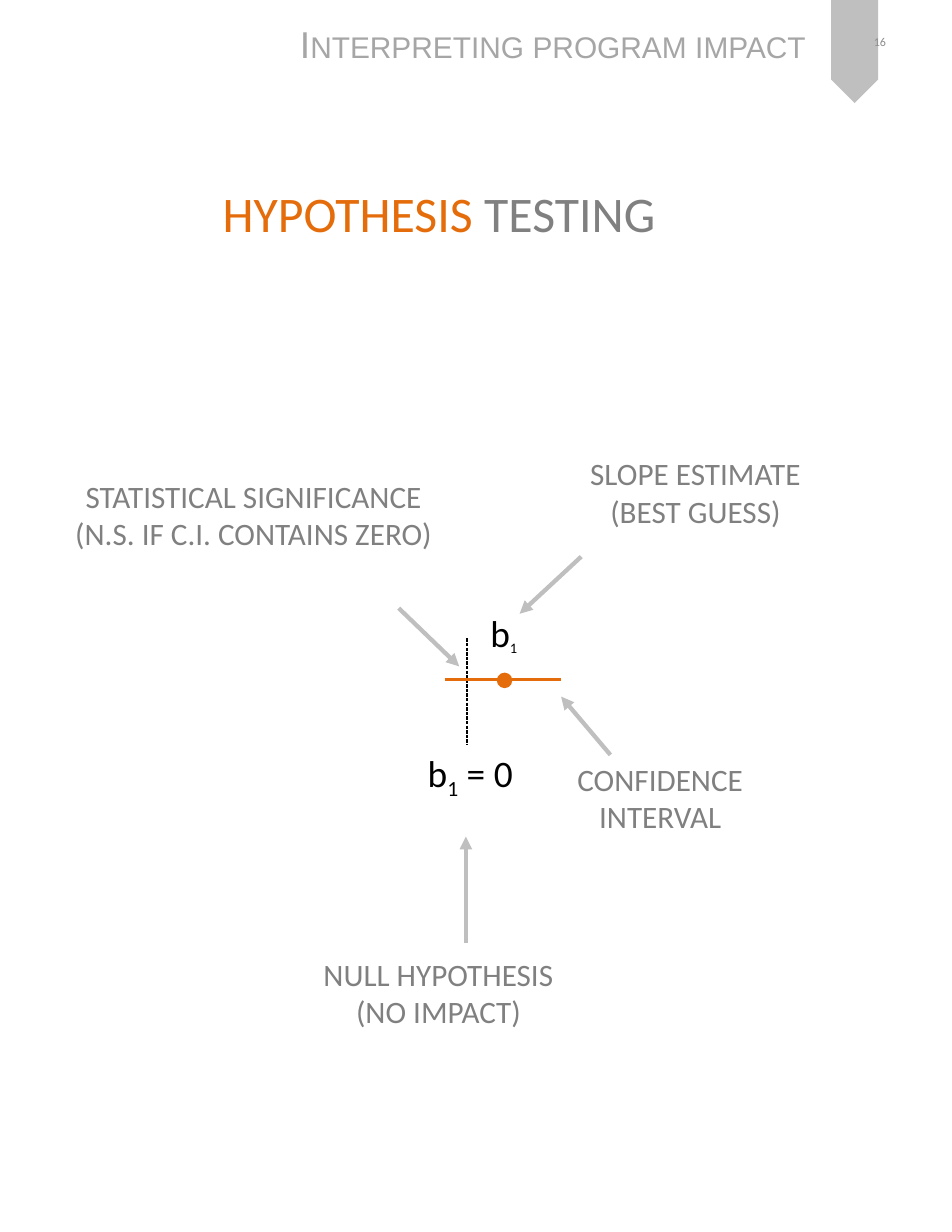
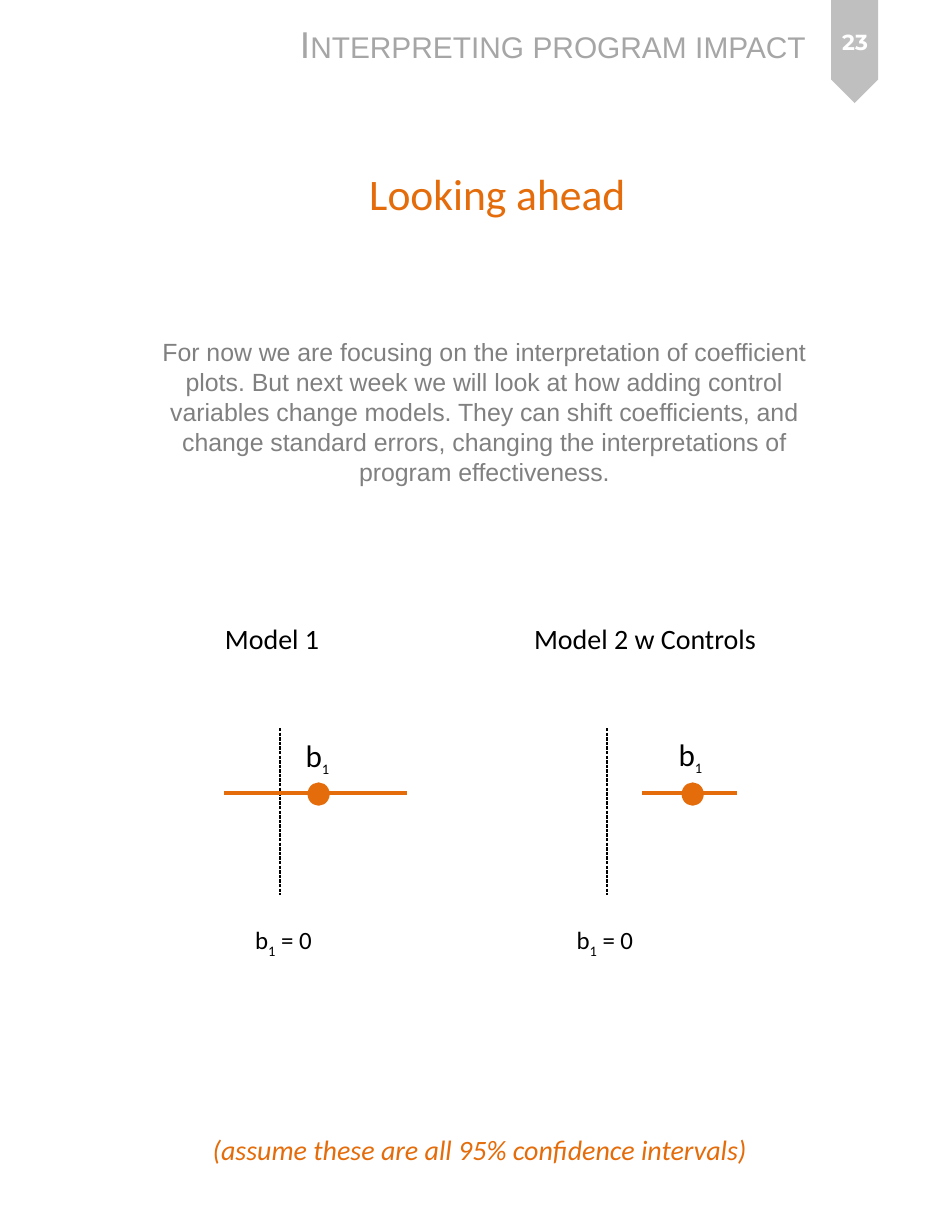
from dataclasses import dataclass, field
from typing import Any, NamedTuple

from lxml import etree
from pptx import Presentation
from pptx import util as u
from pptx.dml.color import RGBColor
from pptx.enum import dml, shapes, text
from pptx.oxml import ns

COLUMNS, ROWS = 85, 110
SLIDE_WIDTH, SLIDE_HEIGHT = u.Inches(8.5), u.Inches(11)

ORANGE, GRAY, SILVER = "E46C0A", "808080", "BFBFBF"
HEADER_GRAY, NUMBER_GRAY = "A6A6A6", "8C8C8C"
BLACK, WHITE = "000000", "FFFFFF"

CENTER, LEFT, RIGHT = text.PP_ALIGN.CENTER, text.PP_ALIGN.LEFT, text.PP_ALIGN.RIGHT


class Point(NamedTuple):
    column: float
    row: float


class Box(NamedTuple):
    column: float
    row: float
    columns: float
    rows: float


class Piece(NamedTuple):
    words: str
    color: str = GRAY
    size: float = 20
    subscript: bool = False


@dataclass
class Label:
    box: Box
    lines: list[list[Piece]]
    alignment: text.PP_ALIGN = LEFT
    font: str = "Calibri"
    wrap: bool = False
    grow: bool = True
    anchor: text.MSO_ANCHOR = text.MSO_ANCHOR.TOP
    style: dict[str, Any] = field(default_factory=dict)
    small_caps: bool = False


@dataclass
class Estimate:
    zero: float
    top: float
    bottom: float
    low: float
    high: float
    row: float
    dot: Box
    slope_box: Box
    slope_size: float
    null_box: Box
    null_size: float


def rgb(color: str) -> RGBColor:
    return RGBColor.from_string(color)


def across(columns: float) -> int:
    return round(SLIDE_WIDTH * columns / COLUMNS)


def down(rows: float) -> int:
    return round(SLIDE_HEIGHT * rows / ROWS)


def place(box: Box) -> tuple[int, int, int, int]:
    return across(box.column), down(box.row), across(box.columns), down(box.rows)


def apply(target: Any, values: dict[str, Any]) -> None:
    for name, value in values.items():
        setattr(target, name, value)


def add_label(slide: Any, label: Label) -> None:
    frame = slide.shapes.add_textbox(*place(label.box)).text_frame
    fit = text.MSO_AUTO_SIZE.SHAPE_TO_FIT_TEXT if label.grow else text.MSO_AUTO_SIZE.NONE
    apply(frame, {"word_wrap": label.wrap, "auto_size": fit, "vertical_anchor": label.anchor})
    for index, line in enumerate(label.lines):
        paragraph = frame.add_paragraph() if index else frame.paragraphs[0]
        paragraph.alignment = label.alignment
        for piece in line:
            run = paragraph.add_run()
            run.text = piece.words
            apply(run.font, {"name": label.font, "size": u.Pt(piece.size), **label.style})
            run.font.color.rgb = rgb(piece.color)
            properties = run._r.get_or_add_rPr()
            if piece.subscript:
                properties.set("baseline", "-25000")
            if label.small_caps:
                properties.set("cap", "small")


def add_line(slide: Any, start: Point, end: Point, color: str, width: float,
             dashed: bool = False, arrow: bool = False) -> None:
    connector = slide.shapes.add_connector(
        shapes.MSO_CONNECTOR.STRAIGHT,
        across(start.column), down(start.row), across(end.column), down(end.row))
    connector.line.color.rgb = rgb(color)
    connector.line.width = u.Pt(width)
    if dashed:
        connector.line.dash_style = dml.MSO_LINE.SQUARE_DOT
    if arrow:
        outline = connector.line._get_or_add_ln()
        etree.SubElement(outline, ns.qn("a:tailEnd"), type="triangle")
    etree.SubElement(connector._element.spPr, ns.qn("a:effectLst"))


def add_filled(slide: Any, kind: shapes.MSO_SHAPE, box: Box, color: str,
               line_width: float = 0, rotation: float = 0) -> None:
    shape = slide.shapes.add_shape(kind, *place(box))
    shape.rotation = rotation
    shape.shadow.inherit = False
    shape.fill.solid()
    shape.fill.fore_color.rgb = rgb(color)
    if line_width:
        shape.line.color.rgb = rgb(color)
        shape.line.width = u.Pt(line_width)
    else:
        shape.line.fill.background()


def add_estimate(slide: Any, estimate: Estimate) -> None:
    add_line(slide, Point(estimate.zero, estimate.top), Point(estimate.zero, estimate.bottom),
             BLACK, 0.75, dashed=True)
    add_line(slide, Point(estimate.low, estimate.row), Point(estimate.high, estimate.row), ORANGE, 2)
    add_filled(slide, shapes.MSO_SHAPE.OVAL, estimate.dot, ORANGE, line_width=2)
    add_label(slide, Label(estimate.slope_box, [[
        Piece("b", BLACK, estimate.slope_size), Piece("1", BLACK, 16, True)]]))
    size = estimate.null_size
    add_label(slide, Label(estimate.null_box, [[
        Piece("b", BLACK, size), Piece("1", BLACK, size, True), Piece(" = 0", BLACK, size)]]))


def add_page(presentation: Any, number: Piece, alignment: text.PP_ALIGN, font: str,
             bold: bool, title: Label) -> Any:
    slide = presentation.slides.add_slide(presentation.slide_layouts[6])
    add_filled(slide, shapes.MSO_SHAPE.PENTAGON, Box(71.7, 2.5, 9.2, 4.2), SILVER, rotation=90)
    add_label(slide, Label(Box(25.8, 1.4, 49.6, 5), [[
        Piece("Interpreting program impact", HEADER_GRAY, 24)]], font="Arial", small_caps=True))
    add_label(slide, Label(Box(72.6, 0.8, 7.5, 5.9), [[number]], alignment, font, wrap=True,
                           grow=False, anchor=text.MSO_ANCHOR.MIDDLE, style={"bold": bold}))
    add_label(slide, title)
    return slide


def build_hypothesis_testing(presentation: Any) -> None:
    title = Label(Box(11.3, 15.8, 55.8, 6.4), [[
        Piece("HYPOTHESIS ", ORANGE, 32), Piece("TESTING", GRAY, 32)]], CENTER, wrap=True)
    slide = add_page(presentation, Piece("16", NUMBER_GRAY, 7.7), RIGHT, "Calibri", False, title)
    add_estimate(slide, Estimate(
        zero=41.7, top=57, bottom=66.5, low=39.7, high=50.1, row=60.7,
        dot=Box(44.5, 60.2, 1.1, 1.1), slope_box=Box(42.8, 54, 4.5, 5), slope_size=24,
        null_box=Box(37.2, 66.5, 9.8, 5), null_size=24))
    callouts = [
        (Box(27.8, 84.8, 22.7, 7.7), ("NULL HYPOTHESIS", "(NO IMPACT)"),
         Point(41.6, 84.2), Point(41.6, 74.7)),
        (Box(51.6, 40.1, 21, 7.7), ("SLOPE ESTIMATE", "(BEST GUESS)"),
         Point(51.9, 49.7), Point(46.4, 54.8)),
        (Box(50.5, 67.4, 16.9, 7.7), ("CONFIDENCE", "INTERVAL"),
         Point(54.5, 67.4), Point(50.1, 62.2)),
        (Box(5.6, 42.1, 34.1, 7.7), ("STATISTICAL SIGNIFICANCE", "(N.S. IF C.I. CONTAINS ZERO)"),
         Point(35.6, 54.3), Point(41, 59.5)),
    ]
    for box, lines, start, end in callouts:
        add_label(slide, Label(box, [[Piece(line)] for line in lines], CENTER))
        add_line(slide, start, end, SILVER, 2.75, arrow=True)


def build_looking_ahead(presentation: Any) -> None:
    title = Label(Box(16.2, 14.4, 56.4, 5.7), [[Piece("Looking ahead", ORANGE, 28)]],
                  CENTER, wrap=True)
    slide = add_page(presentation, Piece("23", WHITE, 14), CENTER, "Montserrat", True, title)
    add_label(slide, Label(Box(11, 29.6, 64.5, 14.5), [[Piece(
        "For now we are focusing on the interpretation of coefficient plots. But next week we "
        "will look at how adding control variables change models. They can shift coefficients, "
        "and change standard errors, changing the interpretations of program effectiveness.",
        GRAY, 16)]], CENTER, "Arial", wrap=True))
    models = [
        ("Model 1", Box(19.1, 55, 10.5, 4), 25, 20, 36.3, 27.6, Point(26.3, 65.3), 21.8),
        ("Model 2 w Controls", Box(46.7, 55, 22.1, 4), 54.2, 57.3, 65.8, 61, Point(59.6, 65.2), 50.5),
    ]
    for name, name_box, zero, low, high, dot, slope, null in models:
        add_label(slide, Label(name_box, [[Piece(name, BLACK, 18)]]))
        add_estimate(slide, Estimate(
            zero=zero, top=65, bottom=79.9, low=low, high=high, row=70.8,
            dot=Box(dot, 70, 1.7, 1.8), slope_box=Box(*slope, 4.2, 4.4), slope_size=20,
            null_box=Box(null, 82.1, 7.2, 3.7), null_size=16))
    add_label(slide, Label(Box(18, 100.6, 50.6, 4), [[
        Piece("(assume these are all 95% confidence intervals)", ORANGE, 18)]],
        style={"italic": True}))


def main() -> None:
    presentation = Presentation()
    apply(presentation, {"slide_width": SLIDE_WIDTH, "slide_height": SLIDE_HEIGHT})
    build_hypothesis_testing(presentation)
    build_looking_ahead(presentation)
    presentation.save("out.pptx")


if __name__ == "__main__":
    main()
